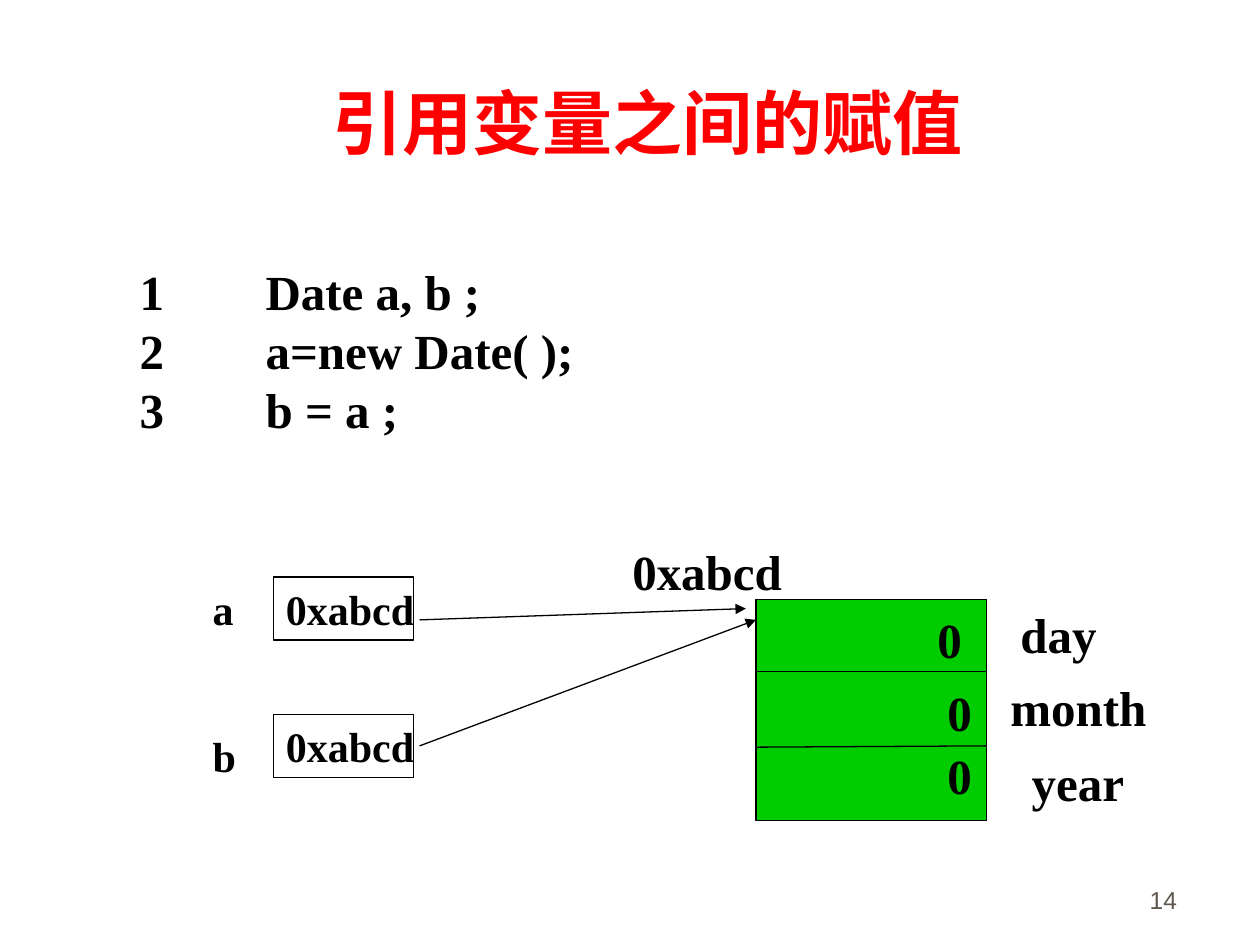
from pptx import Presentation
from pptx.dml.color import RGBColor
from pptx.enum.shapes import MSO_CONNECTOR, MSO_SHAPE
from pptx.enum.text import MSO_ANCHOR, MSO_AUTO_SIZE, PP_ALIGN
from pptx.oxml.ns import qn
from pptx.util import Inches, Pt
from lxml import etree

RECTANGLE, STRAIGHT = MSO_SHAPE.RECTANGLE, MSO_CONNECTOR.STRAIGHT
LEFT, RIGHT = PP_ALIGN.LEFT, PP_ALIGN.RIGHT
TOP, BOTTOM = MSO_ANCHOR.TOP, MSO_ANCHOR.BOTTOM
NO_AUTOFIT = MSO_AUTO_SIZE.NONE

SERIF, SANS = "Times New Roman", "Arial"
BLACK, RED, GREEN, GREY = "000000", "FF0000", "00CC00", "5E574E"

TITLE = "引用变量之间的赋值"
CODE = ["Date a, b ;", "a=new Date( );", "b = a ;"]
ADDRESS = "0xabcd"
PAGE = "14"
# variable, label top, cell top, arrow start y, arrow end
VARIABLES = [
    ("a", 4.58, 4.58, 4.92, (5.92, 4.83)),
    ("b", 5.75, 5.67, 5.92, (6, 4.92)),
]
# field, label left, label top, label width, value, value left, value top
FIELDS = [
    ("day", 8, 4.75, 0.8, "0", 7.34, 4.79),
    ("month", 7.92, 5.33, 1.28, "0", 7.42, 5.37),
    ("year", 8.09, 5.92, 0.93, "0", 7.42, 5.87),
]
CELL_LEFT, CELL_WIDTH, ROW_HEIGHT = 2.17, 1.11, 0.5
OBJECT_LEFT, OBJECT_TOP, OBJECT_WIDTH, OBJECT_HEIGHT = 6, 4.76, 1.83, 1.75
DIVIDERS = [(5.33, 5.33), (5.93, 5.92)]


def rgb(value):
    return RGBColor.from_string(value)


def place(box, left, top, width, height):
    box.left, box.top = Inches(left), Inches(top)
    box.width, box.height = Inches(width), Inches(height)


def write(box, lines, size, color=BLACK, font=SERIF, bold=True, align=LEFT, anchor=TOP,
          tab=None):
    frame = box.text_frame
    frame.text = "\n".join(lines)
    frame.word_wrap = False
    frame.auto_size = NO_AUTOFIT
    frame.vertical_anchor = anchor
    for paragraph in frame.paragraphs:
        paragraph.alignment = align
        if tab:
            properties = paragraph._p.get_or_add_pPr()
            stops = etree.SubElement(properties, qn("a:tabLst"))
            etree.SubElement(stops, qn("a:tab"), pos=str(Inches(tab)), algn="l")
        paragraph.font.name = font
        paragraph.font.size = Pt(size)
        paragraph.font.bold = bold
        paragraph.font.color.rgb = rgb(color)


def add_text(slide, lines, left, top, width, height, size, **style):
    box = slide.shapes.add_textbox(*map(Inches, (left, top, width, height)))
    write(box, lines, size, **style)


def add_box(slide, left, top, width, height, fill=None):
    box = slide.shapes.add_shape(RECTANGLE, *map(Inches, (left, top, width, height)))
    box.shadow.inherit = False
    if fill:
        box.fill.solid()
        box.fill.fore_color.rgb = rgb(fill)
    else:
        box.fill.background()
    box.line.color.rgb = rgb(BLACK)
    box.line.width = Pt(0.75)


def add_line(slide, start, end, arrow=False):
    line = slide.shapes.add_connector(STRAIGHT, *map(Inches, (*start, *end)))
    line.line.color.rgb = rgb(BLACK)
    line.line.width = Pt(0.75)
    properties = line.line._get_or_add_ln()
    if arrow:
        etree.SubElement(properties, qn("a:tailEnd"), type="triangle")
    etree.SubElement(properties.getparent(), qn("a:effectLst"))


def main():
    """Build the slide on assignment between reference variables."""
    deck = Presentation()
    deck.slide_width, deck.slide_height = Inches(10), Inches(7.5)
    slide = deck.slides.add_slide(deck.slide_layouts[5])

    title = slide.shapes.title
    place(title, 2.54, 0.58, 5.4, 0.77)
    write(title, [TITLE], 40, color=RED)
    add_text(slide, [PAGE], 7.36, 6.81, 2.08, 0.5, 14, color=GREY, font=SANS,
             bold=False, align=RIGHT, anchor=BOTTOM)
    numbered = [f"{number}\t{code}" for number, code in enumerate(CODE, 1)]
    add_text(slide, numbered, 1.01, 2.03, 3.64, 1.5, 28, tab=1)

    add_box(slide, OBJECT_LEFT, OBJECT_TOP, OBJECT_WIDTH, OBJECT_HEIGHT, GREEN)
    for left_y, right_y in DIVIDERS:
        add_line(slide, (OBJECT_LEFT, left_y), (OBJECT_LEFT + OBJECT_WIDTH, right_y))
    add_text(slide, [ADDRESS], 4.92, 4.25, 1.38, 0.57, 28)
    for field, left, top, width, value, value_left, value_top in FIELDS:
        add_text(slide, [field], left, top, width, 0.57, 28)
        add_text(slide, [value], value_left, value_top, 0.39, 0.57, 28)

    for variable, label_top, cell_top, arrow_y, target in VARIABLES:
        add_text(slide, [variable], 1.59, label_top, 0.37, ROW_HEIGHT, 24)
        add_box(slide, CELL_LEFT, cell_top, CELL_WIDTH, ROW_HEIGHT)
        add_text(slide, [ADDRESS], CELL_LEFT, cell_top, 1.22, ROW_HEIGHT, 24)
        add_line(slide, (3.33, arrow_y), target, arrow=True)

    deck.save("out.pptx")


if __name__ == "__main__":
    main()
